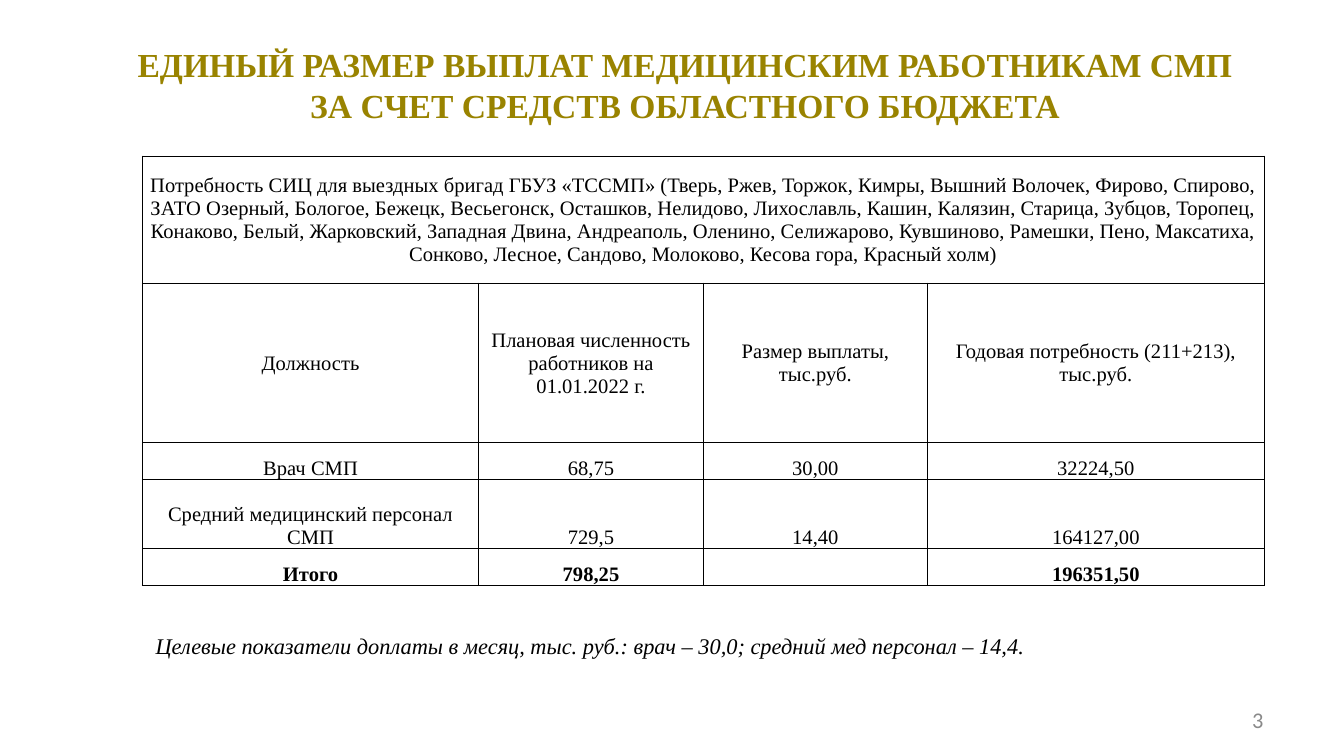
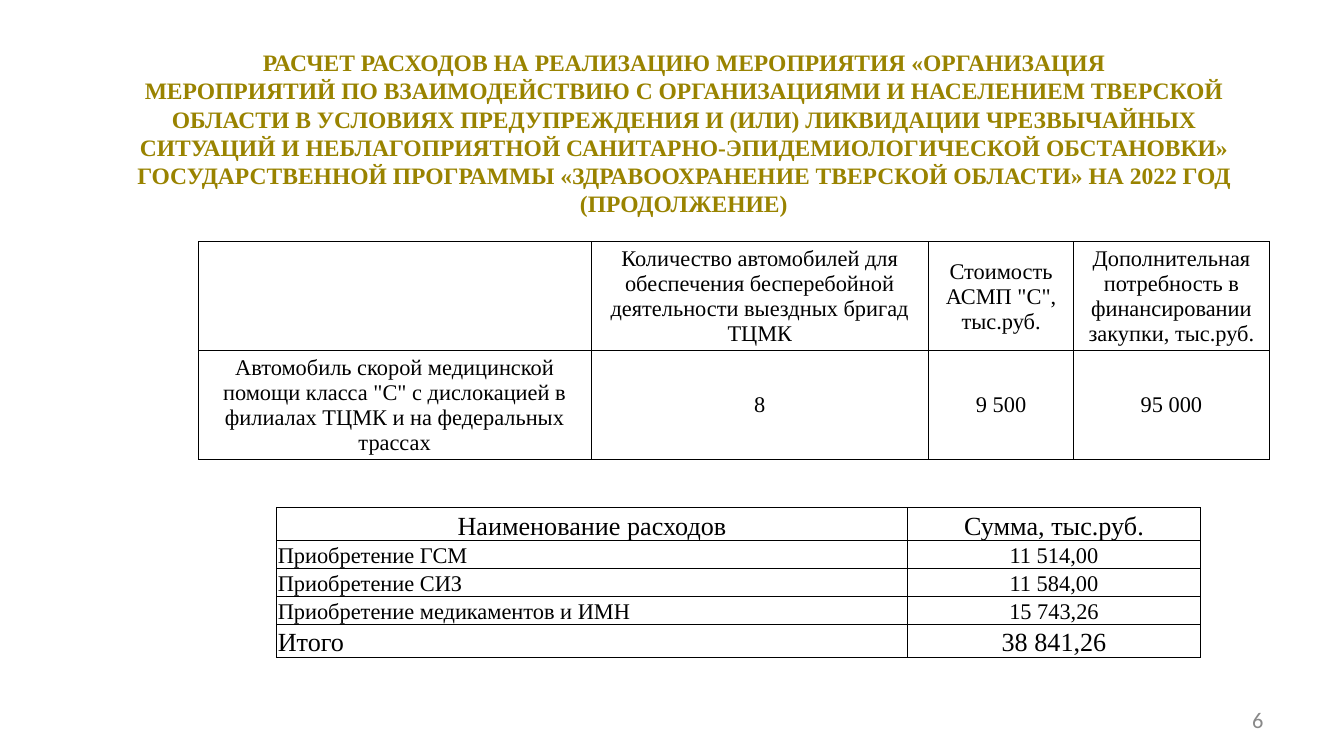
from lxml import etree
from pptx import Presentation
from pptx.dml.color import RGBColor
from pptx.enum import text as t
from pptx.oxml import parse_xml
from pptx.oxml.ns import nsdecls
from pptx.util import Cm, Pt

GOLD = RGBColor(0x99, 0x83, 0x00)
BLACK = RGBColor(0, 0, 0)
GREY = RGBColor(0x89, 0x89, 0x89)
SERIF, SANS = "Times New Roman", "Calibri"
CENTER, LEFT, RIGHT = t.PP_ALIGN.CENTER, t.PP_ALIGN.LEFT, t.PP_ALIGN.RIGHT
MIDDLE, BOTTOM = t.MSO_ANCHOR.MIDDLE, t.MSO_ANCHOR.BOTTOM


def format_paragraph(p, size, color=BLACK, align=CENTER, name=SERIF,
                     bold=False, italic=False):
    p.alignment = align
    f = p.font
    f.name, f.size, f.bold, f.italic = name, Pt(size), bold, italic
    f.color.rgb = color


def add_slide(prs, title, box, size, number):
    """Add a slide with its gold title and its page number."""
    s = prs.slides.add_slide(prs.slide_layouts[5])
    sp = s.shapes.title
    sp.left, sp.top, sp.width, sp.height = map(Cm, box)
    tf = sp.text_frame
    tf.auto_size = t.MSO_AUTO_SIZE.NONE
    tf.vertical_anchor = MIDDLE
    p = tf.paragraphs[0]
    p.text = title
    format_paragraph(p, size, GOLD, bold=True)
    p = add_text(s, str(number), (18.21, 13.23, 5.92, 0.76), MIDDLE)
    format_paragraph(p, 12, GREY, RIGHT, SANS)
    return s


def add_text(s, text, box, anchor=t.MSO_ANCHOR.TOP):
    tf = s.shapes.add_textbox(*map(Cm, box)).text_frame
    tf.word_wrap = True
    tf.vertical_anchor = anchor
    p = tf.paragraphs[0]
    p.text = text
    return p


def add_borders(cell):
    tc_pr = cell._tc.get_or_add_tcPr()
    for side in "LRTB":
        ln = parse_xml(f'<a:ln{side} {nsdecls("a")} w="{Pt(0.5)}"/>')
        fill = etree.SubElement(ln, ln.tag.replace(f"ln{side}", "solidFill"))
        color = etree.SubElement(fill, ln.tag.replace(f"ln{side}", "srgbClr"))
        color.set("val", str(BLACK))
        tc_pr.append(ln)


def format_cell(cell, text, size, anchor, align=CENTER, bold=False):
    add_borders(cell)
    cell.fill.background()
    cell.margin_left = cell.margin_right = cell.margin_top = Cm(0.02)
    cell.margin_bottom = 0
    cell.vertical_anchor = anchor
    p = cell.text_frame.paragraphs[0]
    p.text = text
    format_paragraph(p, size, align=align, bold=bold)
    if not text:
        p._p.get_or_add_endParaRPr().set("sz", str(size * 100))


def add_grid(s, left, top, widths, heights, rows, style):
    """Add a bordered table; style(row, column) gives each cell's format."""
    table = s.shapes.add_table(len(heights), len(widths), Cm(left), Cm(top),
                               Cm(sum(widths)), Cm(sum(heights))).table
    table.first_row = table.horz_banding = False
    for column, width in zip(table.columns, widths):
        column.width = Cm(width)
    for row, height in zip(table.rows, heights):
        row.height = Cm(height)
    for i, row in enumerate(rows):
        for j, text in enumerate(row):
            format_cell(table.cell(i, j), text, **style(i, j))
    return table


def payments_slide(prs):
    s = add_slide(prs, "ЕДИНЫЙ РАЗМЕР ВЫПЛАТ МЕДИЦИНСКИМ РАБОТНИКАМ СМП "
                  "ЗА СЧЕТ СРЕДСТВ ОБЛАСТНОГО БЮДЖЕТА",
                  (2.18, 0.48, 21.54, 2.24), 18, 3)
    p = add_text(s, "Целевые показатели доплаты в месяц, тыс. руб.: врач – 30,0; "
                 "средний мед персонал – 14,4.", (2.69, 11.94, 21.59, 0.69))
    format_paragraph(p, 12, align=LEFT, italic=True)
    p.line_spacing = Pt(11)

    need = ("Потребность СИЦ для выездных бригад ГБУЗ «ТССМП» (Тверь, Ржев, Торжок, "
            "Кимры, Вышний Волочек, Фирово, Спирово, ЗАТО Озерный, Бологое, Бежецк, "
            "Весьегонск, Осташков, Нелидово, Лихославль, Кашин, Калязин, Старица, "
            "Зубцов, Торопец, Конаково, Белый, Жарковский, Западная Двина, Андреаполь, "
            "Оленино, Селижарово, Кувшиново, Рамешки, Пено, Максатиха, Сонково, Лесное, "
            "Сандово, Молоково, Кесова гора, Красный холм)")
    rows = [
        (need, "", "", ""),
        ("Должность", "Плановая численность работников на 01.01.2022 г.",
         "Размер выплаты, тыс.руб.", "Годовая потребность (211+213), тыс.руб."),
        ("Врач СМП", "68,75", "30,00", "32224,50"),
        ("Средний медицинский персонал СМП", "729,5", "14,40", "164127,00"),
        ("Итого", "798,25", "", "196351,50"),
    ]
    table = add_grid(
        s, 2.69, 2.95, (6.36, 4.24, 4.24, 6.36), (2.4, 3.02, 0.7, 1.3, 0.7), rows,
        lambda i, j: dict(size=11, anchor=MIDDLE if i < 2 else BOTTOM, bold=i == 4))
    table.cell(0, 0).merge(table.cell(0, 3))


def expenses_slide(prs):
    s = add_slide(prs, "РАСЧЕТ РАСХОДОВ НА РЕАЛИЗАЦИЮ МЕРОПРИЯТИЯ «ОРГАНИЗАЦИЯ\n"
                  "МЕРОПРИЯТИЙ ПО ВЗАИМОДЕЙСТВИЮ С ОРГАНИЗАЦИЯМИ И НАСЕЛЕНИЕМ ТВЕРСКОЙ\n"
                  "ОБЛАСТИ В УСЛОВИЯХ ПРЕДУПРЕЖДЕНИЯ И (ИЛИ) ЛИКВИДАЦИИ ЧРЕЗВЫЧАЙНЫХ\n"
                  "СИТУАЦИЙ И НЕБЛАГОПРИЯТНОЙ САНИТАРНО-ЭПИДЕМИОЛОГИЧЕСКОЙ ОБСТАНОВКИ» "
                  "ГОСУДАРСТВЕННОЙ ПРОГРАММЫ «ЗДРАВООХРАНЕНИЕ ТВЕРСКОЙ ОБЛАСТИ» "
                  "НА 2022 ГОД (ПРОДОЛЖЕНИЕ)",
                  (2.11, 0.48, 21.62, 4.06), 12.6, 6)
    vehicles = [
        ("", "Количество автомобилей для обеспечения бесперебойной деятельности "
         "выездных бригад ТЦМК", 'Стоимость АСМП "С", тыс.руб.',
         "Дополнительная потребность в финансировании закупки, тыс.руб."),
        ('Автомобиль скорой медицинской помощи класса "C" с дислокацией в филиалах '
         "ТЦМК и на федеральных трассах", "8", "9 500", "95 000"),
    ]
    add_grid(s, 3.75, 4.57, (7.42, 6.38, 2.74, 3.7), (1.9, 1.9), vehicles,
             lambda i, j: dict(size=12, anchor=MIDDLE))
    expenses = [
        ("Наименование расходов", "Сумма, тыс.руб."),
        ("Приобретение ГСМ", "11 514,00"),
        ("Приобретение СИЗ", "11 584,00"),
        ("Приобретение медикаментов и ИМН", "15 743,26"),
        ("Итого", "38 841,26"),
    ]
    add_grid(s, 5.23, 9.6, (11.92, 5.54), (0.62, 0.53, 0.53, 0.53, 0.62), expenses,
             lambda i, j: dict(size=14 if i in (0, 4) else 12, anchor=BOTTOM,
                               align=LEFT if i and not j else CENTER))


def main():
    prs = Presentation()
    prs.slide_width, prs.slide_height = Cm(25.4), Cm(14.29)
    payments_slide(prs)
    expenses_slide(prs)
    prs.save("out.pptx")


if __name__ == "__main__":
    main()
